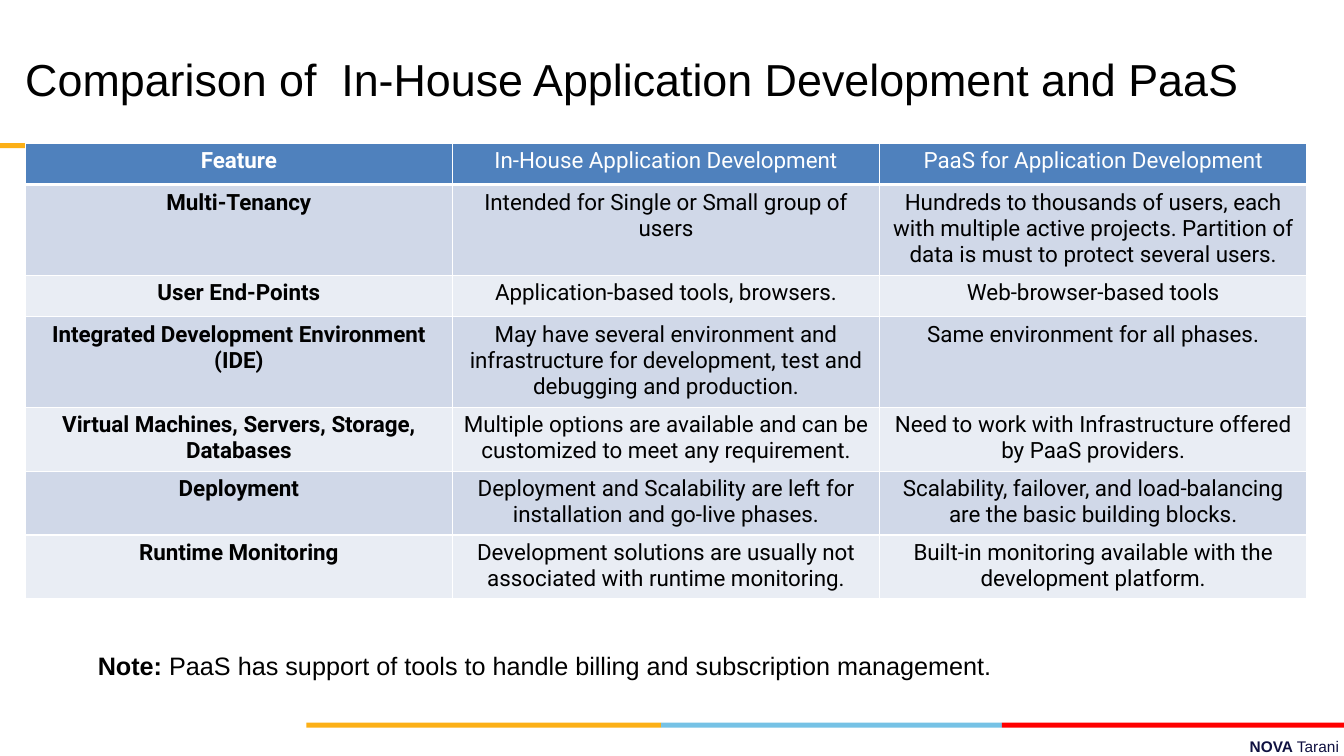
import dataclasses

import lxml.etree
import pptx
import pptx.dml.color
import pptx.enum.shapes
import pptx.enum.text
import pptx.oxml.ns
import pptx.util

ALIGN = pptx.enum.text.PP_ALIGN


@dataclasses.dataclass(frozen=True)
class Theme:
    black: str = "000000"
    white: str = "FFFFFF"
    navy: str = "101141"
    header: str = "4F81BD"
    bands: tuple = ("D0D8E8", "E9EDF4")
    yellow: str = "FCB017"
    blue: str = "76C2E5"
    red: str = "FF0000"
    font: str = "Arial"
    table_font: str = "Roboto"
    title_size: int = 32
    note_size: int = 18
    table_size: int = 16
    footer_size: int = 11


THEME = Theme()
SLIDE_WIDTH = pptx.util.Inches(13.33)
SLIDE_HEIGHT = pptx.util.Inches(7.5)

MARGIN = 1.88
TABLE_TOP = 18.93
TABLE_WIDTH = 95.35
BAR_HEIGHT = 0.67
BAR_TOP = 95.6
BAR_EDGES = (22.8, 49.2, 74.55, 100)
LINE_HEIGHTS = {1: 5.47, 2: 8.27, 3: 11.7}

HEADINGS = ("Feature", "In-House Application Development", "PaaS for Application Development")
FEATURES = (
    (3, "Multi-Tenancy", "Intended for Single or Small group of users",
     "Hundreds to thousands of users, each with multiple active projects. "
     "Partition of data is must to protect several users."),
    (1, "User End-Points", "Application-based tools, browsers.", "Web-browser-based tools"),
    (3, "Integrated Development Environment (IDE)",
     "May have several environment and infrastructure for development, test and debugging and production.",
     "Same environment for all phases."),
    (2, "Virtual Machines, Servers, Storage, Databases",
     "Multiple options are available and can be customized to meet any requirement.",
     "Need to work with Infrastructure offered by PaaS providers."),
    (2, "Deployment", "Deployment and Scalability are left for installation and go-live phases.",
     "Scalability, failover, and load-balancing are the basic building blocks."),
    (2, "Runtime Monitoring", "Development solutions are usually not associated with runtime monitoring.",
     "Built-in monitoring available with the development platform."),
)


def across(percent):
    return round(SLIDE_WIDTH * percent / 100)


def down(percent):
    return round(SLIDE_HEIGHT * percent / 100)


def area(left, top, width, height):
    return across(left), down(top), across(width), down(height)


def rgb(color):
    return pptx.dml.color.RGBColor.from_string(color)


def write(paragraph, text, size, color=THEME.black, font=THEME.font, bold=False, align=ALIGN.LEFT):
    paragraph.alignment = align
    run = paragraph.add_run()
    run.text = text
    run.font.name = font
    run.font.size = pptx.util.Pt(size)
    run.font.bold = bold
    run.font.color.rgb = rgb(color)


def add_text_box(slide, place, inset=0.05):
    frame = slide.shapes.add_textbox(*area(*place)).text_frame
    frame.word_wrap = True
    frame.vertical_anchor = pptx.enum.text.MSO_ANCHOR.MIDDLE
    frame.margin_left = frame.margin_right = pptx.util.Inches(inset)
    frame.margin_top = frame.margin_bottom = pptx.util.Inches(inset)
    return frame.paragraphs[0]


def add_bar(slide, left, top, width, color):
    shape = slide.shapes.add_shape(
        pptx.enum.shapes.MSO_SHAPE.RECTANGLE, *area(left, top, width, BAR_HEIGHT))
    shape.shadow.inherit = False
    shape.fill.solid()
    shape.fill.fore_color.rgb = rgb(color)
    shape.line.fill.background()


def set_borders(cell, widths):
    properties = cell._tc.get_or_add_tcPr()
    for side, width in widths.items():
        line = lxml.etree.SubElement(
            properties, pptx.oxml.ns.qn(f"a:ln{side}"), w=str(pptx.util.Pt(width)))
        fill = lxml.etree.SubElement(line, pptx.oxml.ns.qn("a:solidFill"))
        lxml.etree.SubElement(fill, pptx.oxml.ns.qn("a:srgbClr"), val=THEME.white)


def fill_cell(cell, text, row, column):
    is_header = row == 0
    set_borders(cell, {"L": 1, "R": 1, "T": 3 if row == 1 else 1, "B": 3 if is_header else 1})
    cell.fill.solid()
    cell.fill.fore_color.rgb = rgb(THEME.header if is_header else THEME.bands[(row - 1) % 2])
    write(cell.text_frame.paragraphs[0], text, THEME.table_size, font=THEME.table_font,
          color=THEME.white if is_header else THEME.black,
          bold=column == 0, align=ALIGN.CENTER)


def add_comparison_table(slide):
    rows = ((1, *HEADINGS), *FEATURES)
    heights = [LINE_HEIGHTS[lines] for lines, *_ in rows]
    table = slide.shapes.add_table(
        len(rows), len(HEADINGS), *area(MARGIN, TABLE_TOP, TABLE_WIDTH, sum(heights))).table
    table.horz_banding = False
    for row, (_, *texts) in enumerate(rows):
        table.rows[row].height = down(heights[row])
        for column, text in enumerate(texts):
            fill_cell(table.cell(row, column), text, row, column)


def main():
    presentation = pptx.Presentation()
    presentation.slide_width = SLIDE_WIDTH
    presentation.slide_height = SLIDE_HEIGHT
    slide = presentation.slides.add_slide(presentation.slide_layouts[6])

    footer = add_text_box(slide, (35.86, 96.8, 64.14, 3.9))
    write(footer, "NOVA ", THEME.footer_size, color=THEME.navy, bold=True, align=ALIGN.RIGHT)
    write(footer, "Tarani", THEME.footer_size, color=THEME.navy, align=ALIGN.RIGHT)

    for left, right, color in zip(BAR_EDGES, BAR_EDGES[1:], (THEME.yellow, THEME.blue, THEME.red)):
        add_bar(slide, left, BAR_TOP, right - left, color)
    add_bar(slide, 0, TABLE_TOP, 25.8, THEME.yellow)

    title = add_text_box(slide, (MARGIN, 2.27, TABLE_WIDTH, 16.66), inset=0)
    title.line_spacing = pptx.util.Pt(36)
    write(title, "Comparison of  In-House Application Development and PaaS", THEME.title_size)

    note = add_text_box(slide, (6.9, 84.7, 80, 6.7))
    write(note, "Note: ", THEME.note_size, bold=True)
    write(note, "PaaS has support of tools to handle billing and subscription management.", THEME.note_size)

    add_comparison_table(slide)
    presentation.save("out.pptx")


if __name__ == "__main__":
    main()
